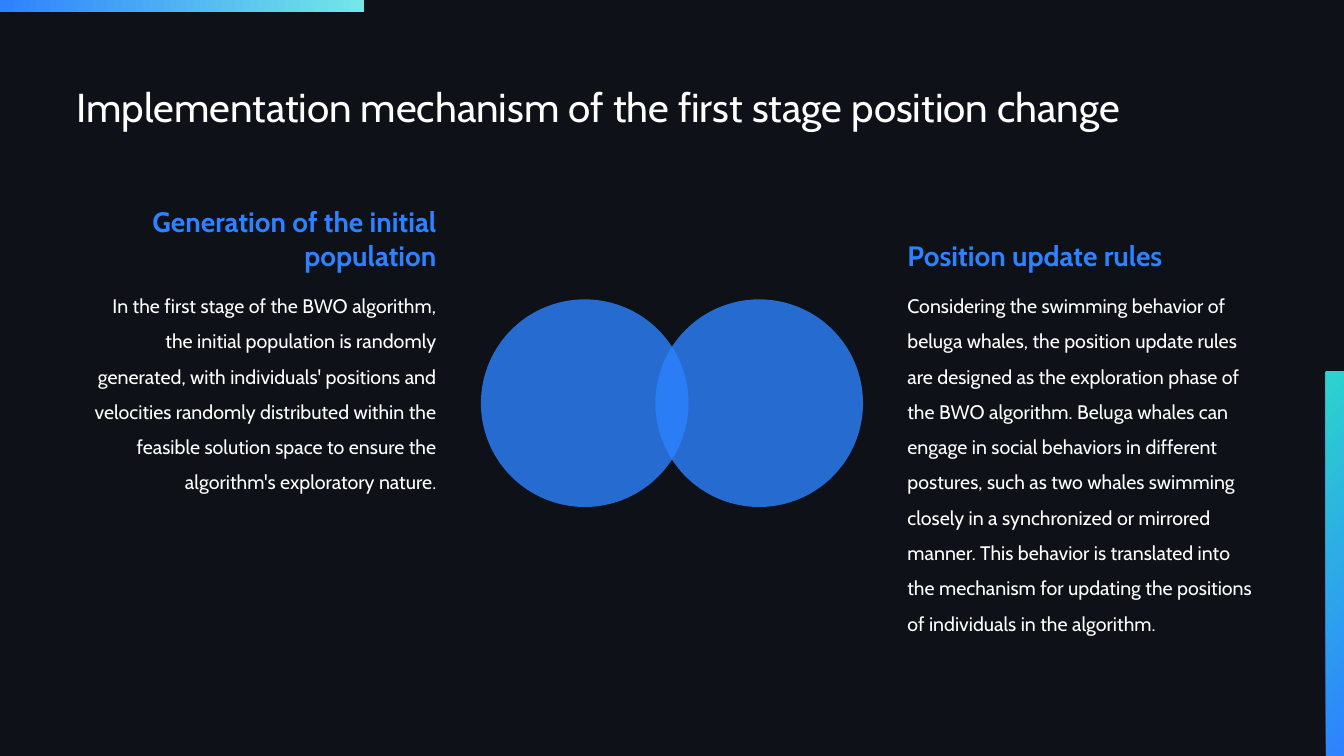
import pptx
import pptx.dml.color
import pptx.enum.shapes
import pptx.enum.text
import pptx.oxml
import pptx.oxml.ns
import pptx.util
from pptx.util import Inches

COLORS = {
    "night": "0E1117",
    "blue": "2D82FF",
    "aqua": "72E7E7",
    "teal": "2BD4CD",
    "white": "FFFFFF",
}
FONT = "Cabin"
ALIGN = pptx.enum.text.PP_ALIGN
ANCHOR = pptx.enum.text.MSO_ANCHOR
SHAPE = pptx.enum.shapes.MSO_SHAPE


def rgb(name):
    return pptx.dml.color.RGBColor.from_string(COLORS[name])


def write(shape, text, size, color, align=ALIGN.LEFT, anchor=ANCHOR.TOP,
          spacing=1.0, bold=False):
    frame = shape.text_frame
    frame.text = text
    frame.word_wrap = True
    frame.auto_size = pptx.enum.text.MSO_AUTO_SIZE.NONE
    frame.vertical_anchor = anchor
    frame.margin_left = frame.margin_right = 0
    frame.margin_top = frame.margin_bottom = 0
    paragraph = frame.paragraphs[0]
    paragraph.alignment = align
    paragraph.line_spacing = spacing
    font = paragraph.runs[0].font
    font.name = FONT
    font.size = pptx.util.Pt(size)
    font.bold = bold
    font.color.rgb = rgb(color)


def add_plain_shape(slide, kind, left, top, width, height):
    shape = slide.shapes.add_shape(
        kind, Inches(left), Inches(top), Inches(width), Inches(height))
    shape.shadow.inherit = False
    shape.line.fill.background()
    return shape


def add_gradient_bar(slide, left, top, width, height, end_color, angle):
    bar = add_plain_shape(slide, SHAPE.RECTANGLE, left, top, width, height)
    bar.fill.gradient()
    bar.fill.gradient_angle = angle
    for stop, color in zip(bar.fill.gradient_stops, ("blue", end_color)):
        stop.color.rgb = rgb(color)


def place_title(slide, left, top, width, height, text):
    title = slide.shapes.title
    title.left, title.top = Inches(left), Inches(top)
    title.width, title.height = Inches(width), Inches(height)
    write(title, text, 28.8, "white", anchor=ANCHOR.BOTTOM, spacing=0.9)


def add_overlapping_circles(slide, left, top, width, diameter):
    # The right circle lies behind the left one
    for circle_left in (left + width - diameter, left):
        circle = add_plain_shape(
            slide, SHAPE.OVAL, circle_left, top, diameter, diameter)
        circle.fill.solid()
        circle.fill.fore_color.rgb = rgb("blue")
        color = circle.fill._xPr.find(".//" + pptx.oxml.ns.qn("a:srgbClr"))
        alpha = pptx.oxml.parse_xml(
            f'<a:alpha {pptx.oxml.ns.nsdecls("a")} val="80000"/>')
        color.append(alpha)


def add_topic(slide, left, top, width, heading, body, align):
    heading_box = slide.shapes.add_textbox(
        Inches(left), Inches(top), Inches(width), Inches(0.4))
    write(heading_box, heading, 20, "blue", align, ANCHOR.BOTTOM, bold=True)
    body_box = slide.shapes.add_textbox(
        Inches(left), Inches(top + 0.5), Inches(width), Inches(3.58))
    write(body_box, body, 14, "white", align, spacing=1.5)


def main():
    deck = pptx.Presentation()
    deck.slide_width, deck.slide_height = Inches(13.33), Inches(7.5)
    slide = deck.slides.add_slide(deck.slide_layouts[5])

    # Backdrop and accent bars
    slide.background.fill.solid()
    slide.background.fill.fore_color.rgb = rgb("night")
    add_gradient_bar(slide, 0, 0, 3.61, 0.12, "aqua", 0)
    add_gradient_bar(slide, 13.15, 3.69, 0.18, 3.81, "teal", 135)

    place_title(slide, 0.76, 0.51, 11.81, 0.79,
                "Implementation mechanism of the first stage position change")

    # Circles between the two topics
    add_overlapping_circles(slide, 4.77, 2.97, 3.79, 2.06)
    add_topic(
        slide, 0.83, 2.3, 3.5, "Generation of the initial population",
        "In the first stage of the BWO algorithm, the initial population is "
        "randomly generated, with individuals' positions and velocities "
        "randomly distributed within the feasible solution space to ensure "
        "the algorithm's exploratory nature.", ALIGN.RIGHT)
    add_topic(
        slide, 9, 2.3, 3.5, "Position update rules",
        "Considering the swimming behavior of beluga whales, the position "
        "update rules are designed as the exploration phase of the BWO "
        "algorithm. Beluga whales can engage in social behaviors in different "
        "postures, such as two whales swimming closely in a synchronized or "
        "mirrored manner. This behavior is translated into the mechanism for "
        "updating the positions of individuals in the algorithm.", ALIGN.LEFT)

    deck.save("out.pptx")


if __name__ == "__main__":
    main()
